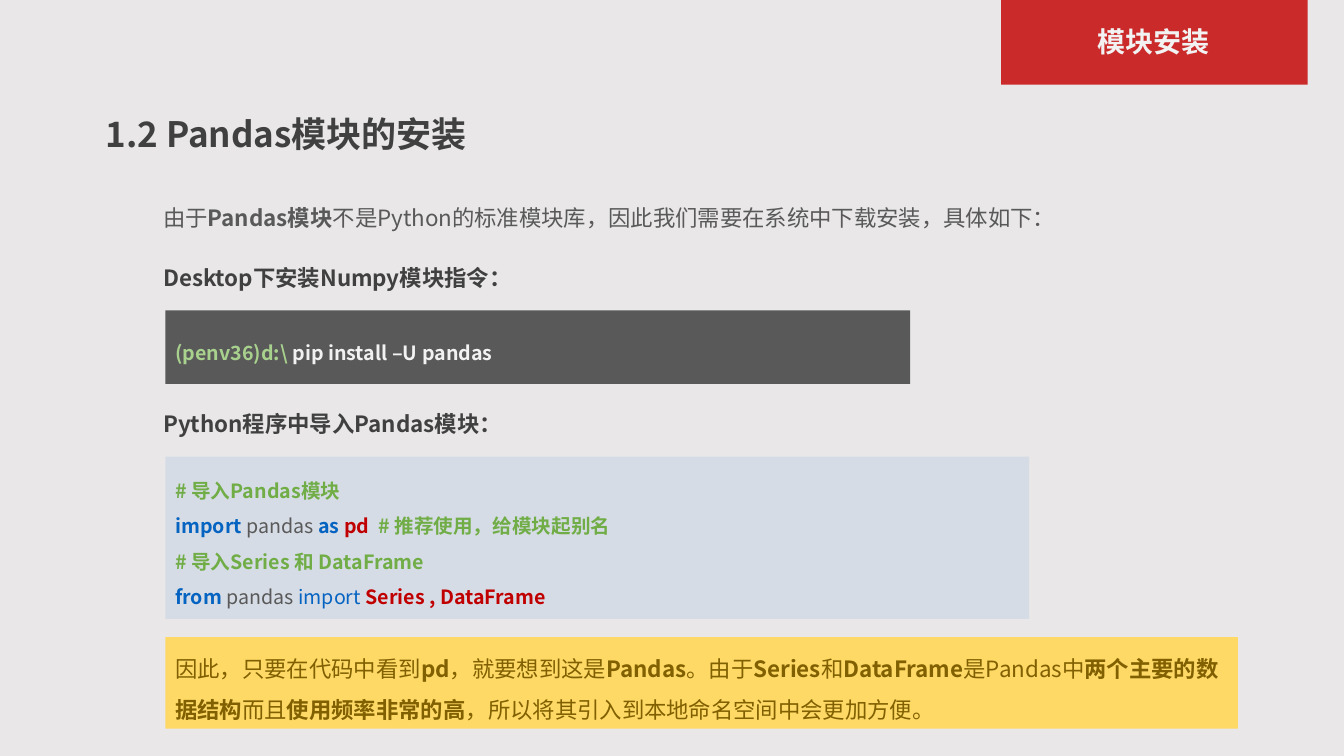
from lxml.etree import SubElement
from pptx import Presentation
from pptx.dml.color import RGBColor
from pptx.enum.shapes import MSO_SHAPE as Preset
from pptx.enum.text import MSO_ANCHOR as Anchor, PP_ALIGN as Align
from pptx.oxml.ns import qn
from pptx.util import Inches, Pt

COLUMNS, ROWS = 40, 30
FONT = "Noto Sans CJK SC"
PAPER, RED, YELLOW, PALE_BLUE = "E9E7E7", "CA2A2A", "FFD966", "D6DCE5"
WHITE, GREY, DARK, BROWN = "F2F2F2", "595959", "404040", "806000"
PROMPT, COMMENT, KEYWORD, NAME = "A9D18E", "70AD47", "0563C1", "C00000"


def paint(color_format, color):
    color_format.rgb = RGBColor.from_string(color)


def emphasised(text, color):
    """Turn text with *bold* parts into (text, colour, bold) runs."""
    return [(part, color, i % 2 == 1) for i, part in enumerate(text.split("*"))]


class Deck:
    def __init__(self):
        self.presentation = Presentation()
        self.presentation.slide_width = Inches(13.33)
        self.presentation.slide_height = Inches(7.5)
        self.column = self.presentation.slide_width / COLUMNS
        self.row = self.presentation.slide_height / ROWS

    def add_slide(self, background):
        layout = self.presentation.slide_layouts[6]
        self.slide = self.presentation.slides.add_slide(layout)
        fill = self.slide.background.fill
        fill.solid()
        paint(fill.fore_color, background)

    def place(self, left, top, width, height):
        """Convert grid cells to slide lengths."""
        return (round(left * self.column), round(top * self.row),
                round(width * self.column), round(height * self.row))

    def panel(self, cells, color):
        panel = self.slide.shapes.add_shape(Preset.RECTANGLE, *self.place(*cells))
        panel.shadow.inherit = False
        panel.fill.solid()
        paint(panel.fill.fore_color, color)
        panel.line.fill.background()
        return panel

    def text(self, cells, lines, size, **style):
        box = self.slide.shapes.add_textbox(*self.place(*cells))
        self.set_text(box, lines, size, **style)

    def set_text(self, holder, lines, size, spacing=1.0, align=Align.LEFT,
                 anchor=Anchor.TOP):
        """Fill a box with lines, each a list of (text, colour, bold) runs."""
        frame = holder.text_frame
        frame.word_wrap = True
        frame.vertical_anchor = anchor
        for i, line in enumerate(lines):
            paragraph = frame.add_paragraph() if i else frame.paragraphs[0]
            paragraph.alignment = align
            paragraph.line_spacing = spacing
            self.set_font(paragraph.font, size)
            colors = {color for _, color, _ in line}
            weights = {bold for _, _, bold in line}
            if len(colors) == 1:
                paint(paragraph.font.color, line[0][1])
            if len(weights) == 1:
                paragraph.font.bold = line[0][2]
            for words, color, bold in line:
                run = paragraph.add_run()
                run.text = words
                if len(colors) > 1:
                    paint(run.font.color, color)
                if len(weights) > 1:
                    run.font.bold = bold

    def set_font(self, font, size):
        """Use the font for Latin and East Asian letters alike."""
        font.size = Pt(size)
        font.name = FONT
        SubElement(font._rPr, qn("a:ea"), typeface=FONT)

    def save(self):
        self.presentation.save("out.pptx")


def main():
    deck = Deck()
    deck.add_slide(PAPER)

    deck.panel((29.8, 0, 9.12, 3.36), RED)
    deck.text((29.83, 0.92, 9, 1.68), [[("模块安装", WHITE, True)]], 20,
              spacing=0.9, align=Align.CENTER)
    deck.text((2.85, 4.28, 11.55, 2.08), [[("1.2 Pandas模块的安装", DARK, True)]], 25)

    intro = "由于*Pandas模块*不是Python的标准模块库，因此我们需要在系统中下载安装，具体如下："
    deck.text((4.56, 7.36, 31.05, 2), [emphasised(intro, GREY)], 16, spacing=1.5)

    headings = [(10.28, "Desktop下安装Numpy模块指令："),
                (16.08, "Python程序中导入Pandas模块：")]
    for top, heading in headings:
        deck.text((4.56, top, 12, 1.48), [[(heading, DARK, True)]], 16)

    command = [("(penv36)d:\\", PROMPT, True), (" pip install –U pandas", WHITE, True)]
    imports = [
        [("# 导入Pandas模块", COMMENT, True)],
        [("import ", KEYWORD, True), ("pandas ", GREY, False), ("as ", KEYWORD, True),
         ("pd  ", NAME, True), ("# 推荐使用，给模块起别名", COMMENT, True)],
        [("# 导入Series 和 DataFrame", COMMENT, True)],
        [("from", KEYWORD, True), (" pandas ", GREY, False),
         ("import ", KEYWORD, False), ("Series , DataFrame", NAME, True)],
    ]
    conclusion = ("因此，只要在代码中看到*pd*，就要想到这是*Pandas*。由于*Series*和*DataFrame*"
                  "是Pandas中*两个主要的数据结构*而且*使用频率非常的高*"
                  "，所以将其引入到本地命名空间中会更加方便。")
    panels = [
        (12.32, 22.17, 2.92, GREY, [command], 14, Anchor.MIDDLE),
        (18.12, 25.71, 6.44, PALE_BLUE, imports, 14, Anchor.MIDDLE),
        (25.28, 31.92, 3.64, YELLOW, [emphasised(conclusion, BROWN)], 16, Anchor.TOP),
    ]
    for top, width, height, color, lines, size, anchor in panels:
        panel = deck.panel((4.92, top, width, height), color)
        deck.set_text(panel, lines, size, spacing=1.5, anchor=anchor)

    deck.save()


if __name__ == "__main__":
    main()
